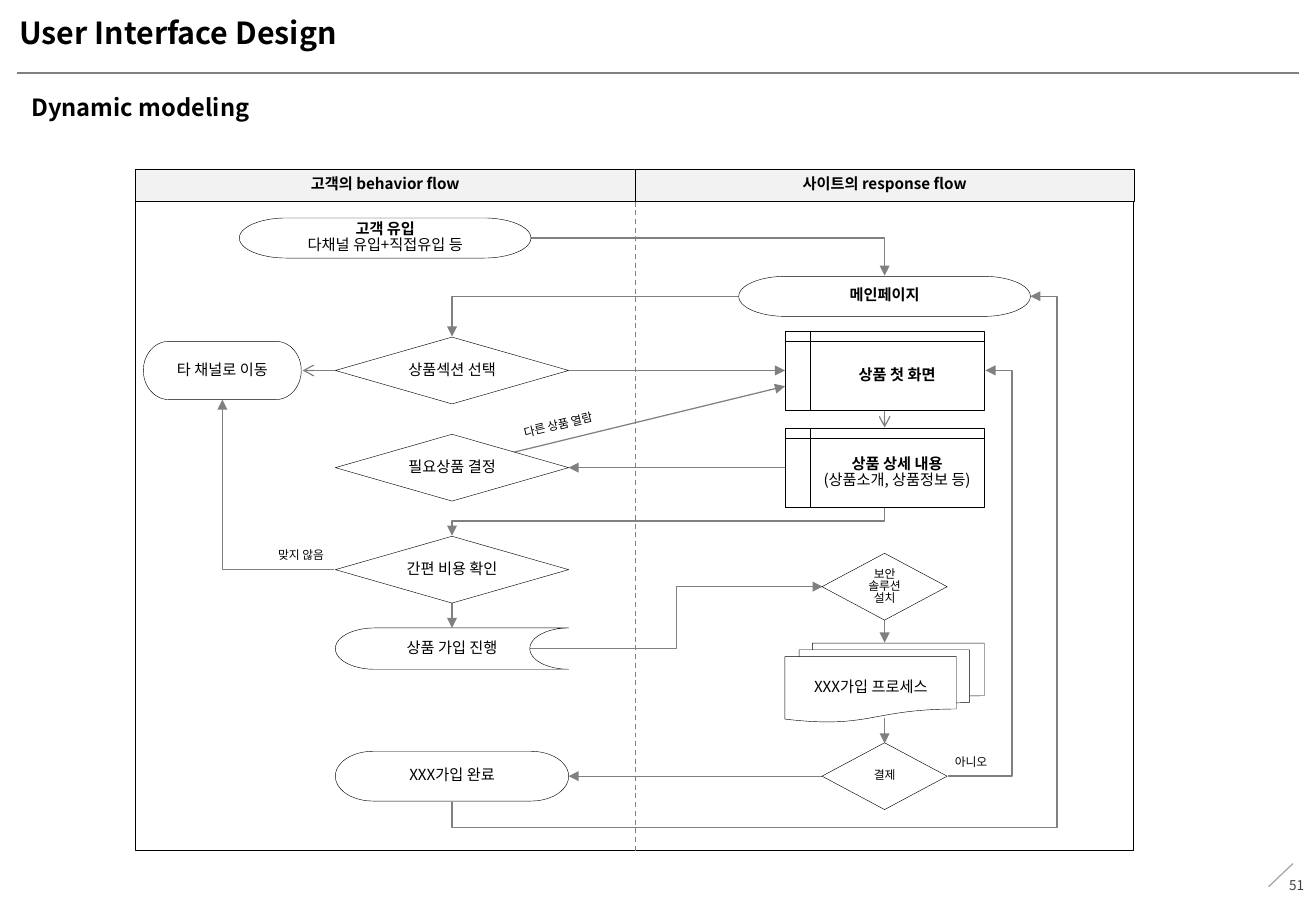
from dataclasses import dataclass
from typing import Any

from lxml import etree
from pptx import Presentation
from pptx import util as u
from pptx.dml.color import RGBColor
from pptx.enum import dml, shapes, text
from pptx.oxml import ns

HUES = {"ink": "000000", "wire": "808080", "slash": "A6A6A6",
        "page": "404040", "head": "F2F2F2", "white": "FFFFFF"}
FACE = "Noto Sans CJK KR"
Kind = shapes.MSO_SHAPE
LEFT, RIGHT = 3.72, 7.28
OVAL, GEM, SMALL, CARD = (2.4, 0.33), (1.92, 0.55), (1.03, 0.55), (1.64, 0.65)


@dataclass
class Node:
    kind: Any
    mid: tuple[float, float]
    size: tuple[float, float]
    lines: tuple[str, ...] = ()
    bold: int = 0
    pt: float = 9
    fill: str = "white"


@dataclass
class Wire:
    start: tuple[float, float]
    end: tuple[float, float]
    tail: str = "triangle"
    hue: str = "wire"
    dash: bool = False


@dataclass
class Bend:
    box: tuple[float, float, float, float]
    joints: int
    turn: int = 0
    flip: str = ""
    adjust: tuple[int, ...] = ()


@dataclass
class Label:
    box: tuple[float, float, float, float]
    words: str
    pt: float = 7
    bold: bool = False
    hue: str = "ink"
    turn: float = 0
    wrap: bool = False
    align: str = "LEFT"
    form: tuple[tuple[str, Any], ...] = ()


FRAME = [
    Node(Kind.RECTANGLE, (3.17, 1.525), (4.11, 0.27), ("고객의 behavior flow",), 1, fill="head"),
    Node(Kind.RECTANGLE, (7.28, 1.525), (4.11, 0.27), ("사이트의 response flow",), 1, fill="head"),
    Node(Kind.RECTANGLE, (5.22, 4.33), (8.22, 5.34)),
]
RULES = [
    Wire((0.14, 0.6), (10.69, 0.6), ""),
    Wire((10.64, 7.11), (10.44, 7.3), "", "slash"),
]
WIRES = [
    Wire((5.23, 1.66), (5.23, 7.01), "", dash=True),
    Wire((4.68, 3.05), (6.46, 3.05)),
    Wire((RIGHT, 3.37), (RIGHT, 3.52), "arrow"),
    Wire((6.46, 3.85), (4.68, 3.85)),
    Wire((2.76, 3.05), (2.49, 3.05), "arrow"),
    Wire((4.2, 3.73), (6.46, 3.18)),
    Wire((LEFT, 4.96), (LEFT, 5.17)),
    Wire((RIGHT, 5.1), (RIGHT, 5.29)),
    Wire((RIGHT, 5.91), (RIGHT, 6.12)),
    Wire((6.77, 6.39), (4.68, 6.39)),
]
BENDS = [
    Bend((4.37, 1.96, 2.91, 0.31), 2),
    Bend((3.72, 2.44, 2.36, 0.33), 2, 180, "V"),
    Bend((1.83, 3.29, 0.92, 1.4), 2, 180),
    Bend((5.38, 2.51, 0.24, 3.56), 3, 90),
    Bend((4.36, 4.83, 2.41, 0.51), 3, 0, "V"),
    Bend((7.8, 3.05, 0.31, 3.34), 3, 0, "V", (170500,)),
    Bend((4.02, 2.14, 4.16, 4.76), 4, 90, "HV", (-5200, 104600)),
]
NODES = [
    Node(Kind.FLOWCHART_TERMINATOR, (3.17, 1.96), OVAL, ("고객 유입", "다채널 유입+직접유입 등"), 1),
    Node(Kind.FLOWCHART_TERMINATOR, (RIGHT, 2.44), OVAL, ("메인페이지",), 1),
    Node(Kind.FLOWCHART_DECISION, (LEFT, 3.05), GEM, ("상품섹션 선택",)),
    Node(Kind.FLOWCHART_TERMINATOR, (1.83, 3.05), (1.3, 0.48), ("타 채널로 이동",)),
    Node(Kind.FLOWCHART_INTERNAL_STORAGE, (RIGHT, 3.05), CARD, ("상품 첫 화면",), 1),
    Node(Kind.FLOWCHART_INTERNAL_STORAGE, (RIGHT, 3.85), CARD,
         ("상품 상세 내용", "(상품소개, 상품정보 등)"), 1),
    Node(Kind.FLOWCHART_DECISION, (LEFT, 3.85), GEM, ("필요상품 결정",)),
    Node(Kind.FLOWCHART_DECISION, (LEFT, 4.69), GEM, ("간편 비용 확인",)),
    Node(Kind.FLOWCHART_STORED_DATA, (LEFT, 5.34), (1.92, 0.34), ("상품 가입 진행",)),
    Node(Kind.FLOWCHART_MULTIDOCUMENT, (RIGHT, 5.62), CARD, ("XXX가입 프로세스",)),
    Node(Kind.FLOWCHART_DECISION, (RIGHT, 4.83), SMALL, ("보안", "솔루션", "설치"), pt=7),
    Node(Kind.FLOWCHART_DECISION, (RIGHT, 6.39), SMALL, ("결제",), pt=7),
    Node(Kind.FLOWCHART_TERMINATOR, (LEFT, 6.39), (1.92, 0.41), ("XXX가입 완료",)),
]
LABELS = [
    Label((2.19, 4.48, 0.6, 0.22), "맞지 않음"),
    Label((4.21, 3.4, 0.82, 0.22), "다른 상품 열람", turn=346.8),
    Label((7.76, 6.18, 0.48, 0.22), "아니오"),
    Label((0.16, 0.1, 8.09, 0.42), "User Interface Design", 18, True, wrap=True,
          form=(("margin_left", 0), ("margin_right", 0),
                ("margin_top", u.Inches(0.06)), ("margin_bottom", u.Inches(0.06)))),
    Label((0.16, 0.75, 10.54, 0.34), "Dynamic modeling", 14, True, wrap=True),
    Label((10.22, 7.1, 0.61, 0.4), "51", 8, hue="page", wrap=True, align="RIGHT",
          form=(("vertical_anchor", text.MSO_ANCHOR.MIDDLE),)),
]


def apply(thing: Any, form: dict[str, Any]) -> None:
    for name, value in form.items():
        setattr(thing, name, value)


def color(name: str) -> RGBColor:
    return RGBColor.from_string(HUES[name])


def inches(*sizes: float) -> list[int]:
    return [u.Inches(size) for size in sizes]


def write(para: Any, words: str, pt: float, bold: bool, hue: str, align: str) -> None:
    apply(para, {"alignment": getattr(text.PP_ALIGN, align), "line_spacing": 0.85})
    run = para.add_run()
    run.text = words
    apply(run.font, {"size": u.Pt(pt), "bold": bold, "name": FACE})
    run.font.color.rgb = color(hue)
    etree.SubElement(run.font._element, ns.qn("a:ea"), typeface=FACE)


def style(line: Any, hue: str, tail: str = "") -> None:
    line.line.color.rgb = color(hue)
    line.line.width = u.Pt(0.75)
    if tail:
        etree.SubElement(line.line._get_or_add_ln(), ns.qn("a:tailEnd"), type=tail)
    etree.SubElement(line._element.spPr, ns.qn("a:effectLst"))


def draw_node(slide: Any, node: Node) -> None:
    (x, y), (w, h) = node.mid, node.size
    shape = slide.shapes.add_shape(node.kind, *inches(x - w / 2, y - h / 2, w, h))
    shape.shadow.inherit = False
    shape.fill.solid()
    shape.fill.fore_color.rgb = color(node.fill)
    shape.line.color.rgb = color("ink")
    shape.line.width = u.Pt(0.25)
    frame = shape.text_frame
    apply(frame, {"word_wrap": True, "vertical_anchor": text.MSO_ANCHOR.MIDDLE})
    if node.size == SMALL:
        apply(frame, dict.fromkeys(
            ("margin_left", "margin_right", "margin_top", "margin_bottom"), 0))
    for i, words in enumerate(node.lines):
        para = frame.add_paragraph() if i else frame.paragraphs[0]
        write(para, words, node.pt, i < node.bold, "ink", "CENTER")


def draw_wire(slide: Any, wire: Wire) -> None:
    line = slide.shapes.add_connector(
        shapes.MSO_CONNECTOR.STRAIGHT, *inches(*wire.start, *wire.end))
    if wire.dash:
        line.line.dash_style = dml.MSO_LINE.DASH
    style(line, wire.hue, wire.tail)


def draw_bend(slide: Any, bend: Bend) -> None:
    x, y, w, h = bend.box
    line = slide.shapes.add_connector(
        shapes.MSO_CONNECTOR.ELBOW, *inches(x, y, x + w, y + h))
    props = line._element.spPr
    props.xfrm.set("rot", str(bend.turn * 60000))
    for side in bend.flip:
        props.xfrm.set("flip" + side, "1")
    geom = props.find(ns.qn("a:prstGeom"))
    geom.set("prst", f"bentConnector{bend.joints}")
    guides = geom.find(ns.qn("a:avLst"))
    for i, value in enumerate(bend.adjust, 1):
        etree.SubElement(guides, ns.qn("a:gd"), name=f"adj{i}", fmla=f"val {value}")
    style(line, "wire", "triangle")


def draw_label(slide: Any, label: Label) -> None:
    box = slide.shapes.add_textbox(*inches(*label.box))
    box.rotation = label.turn
    apply(box.text_frame, {"word_wrap": label.wrap, **dict(label.form)})
    write(box.text_frame.paragraphs[0], label.words, label.pt, label.bold,
          label.hue, label.align)


def main() -> None:
    deck = Presentation()
    apply(deck, {"slide_width": u.Inches(10.83), "slide_height": u.Inches(7.5)})
    slide = deck.slides.add_slide(deck.slide_layouts[6])
    for items, draw in ((RULES, draw_wire), (FRAME, draw_node), (WIRES, draw_wire),
                        (BENDS, draw_bend), (NODES, draw_node), (LABELS, draw_label)):
        for item in items:
            draw(slide, item)
    deck.save("out.pptx")


if __name__ == "__main__":
    main()
